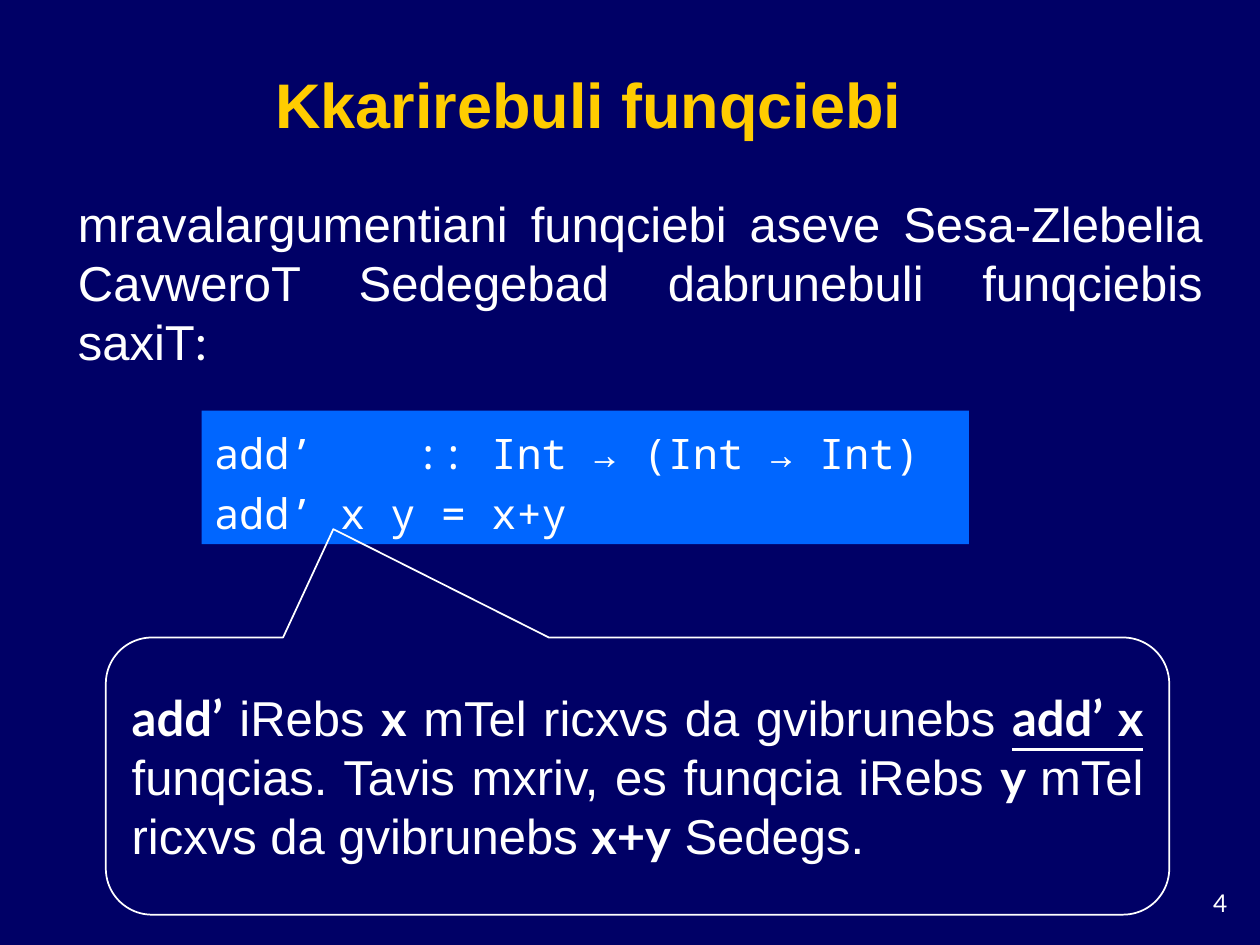
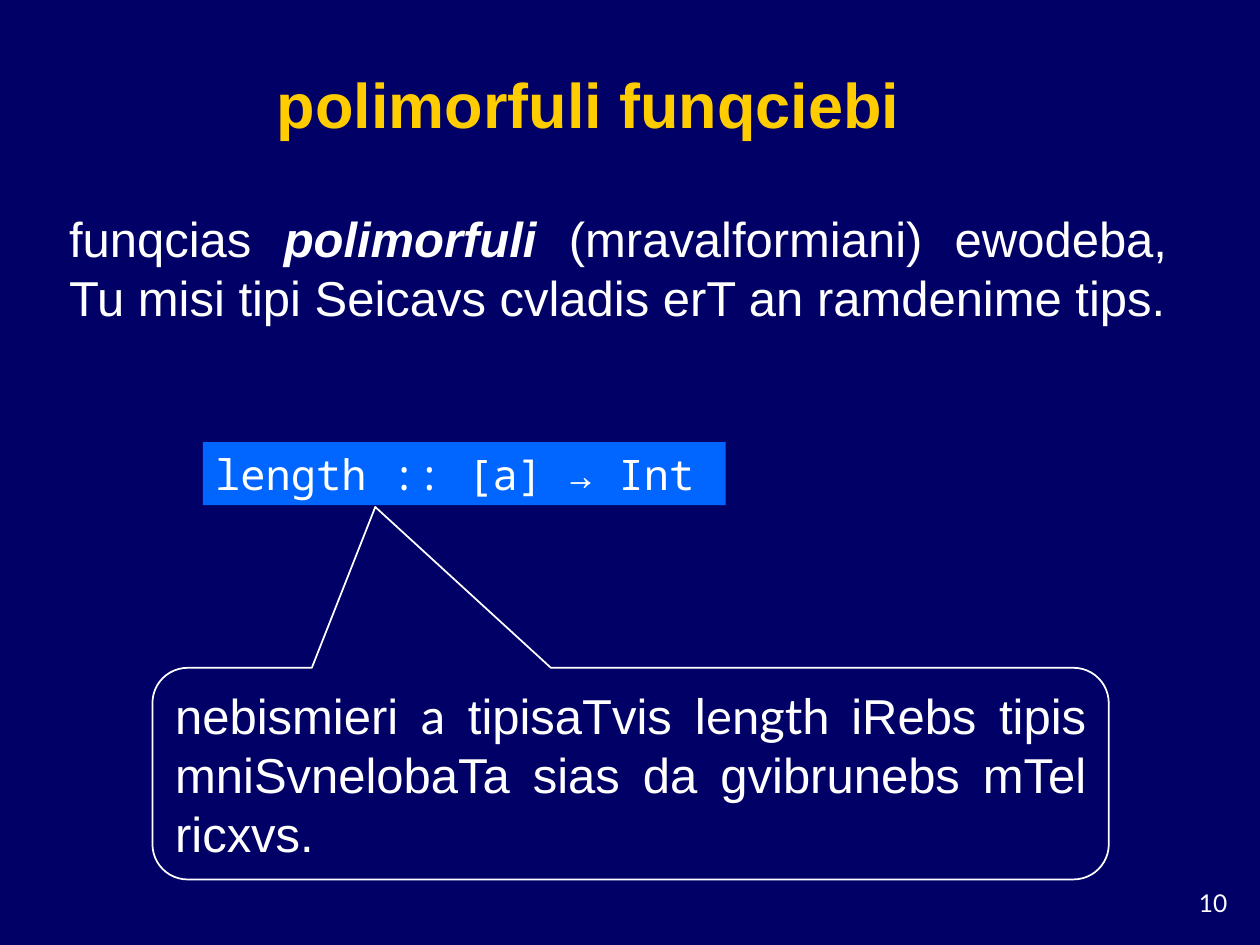
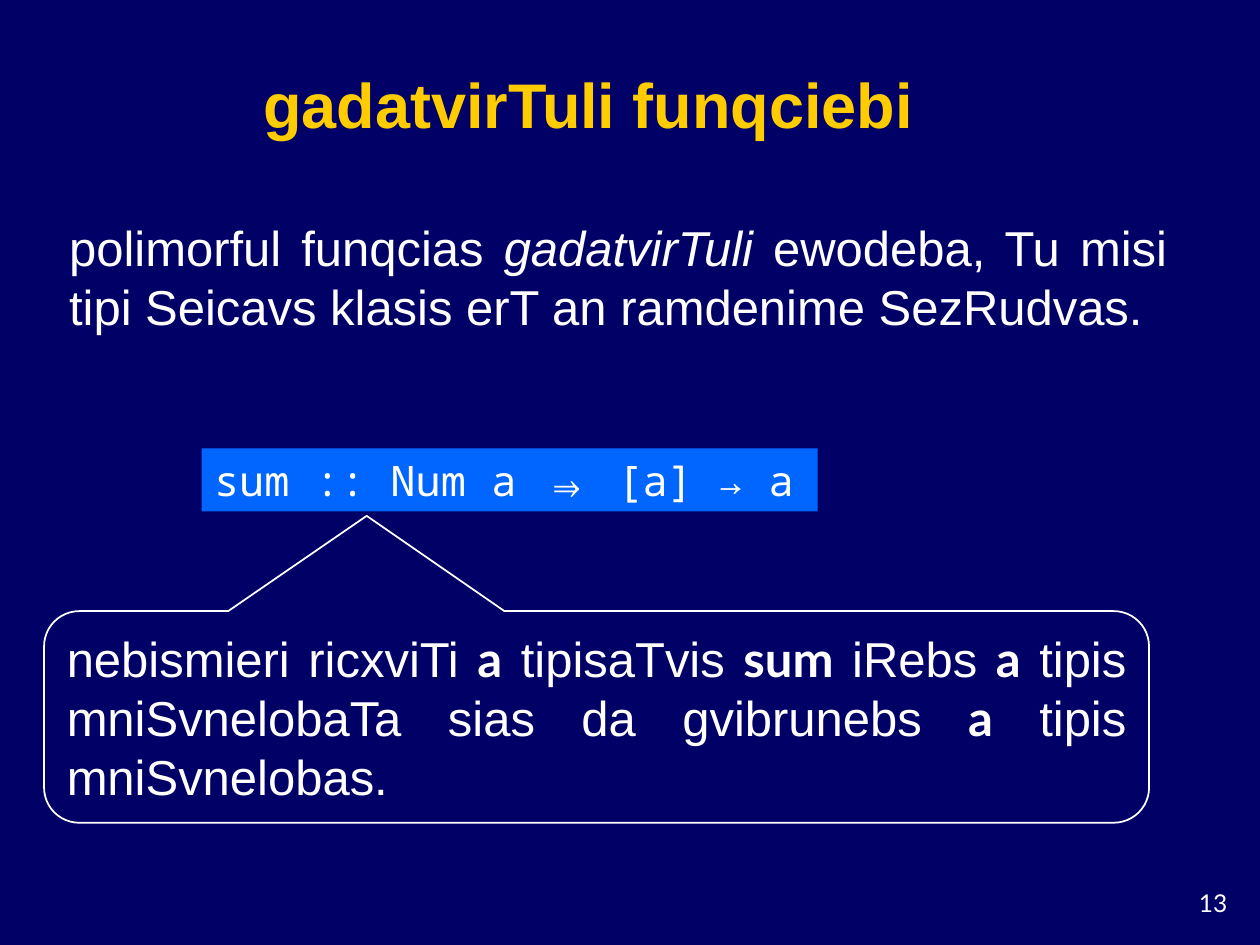
from pptx import Presentation
from pptx.dml.color import RGBColor
from pptx.enum.shapes import MSO_SHAPE
from pptx.enum.text import MSO_ANCHOR, MSO_AUTO_SIZE, PP_ALIGN
from pptx.util import Inches, Pt

NAVY, BLUE, WHITE, GOLD = "000066", "0066FF", "FFFFFF", "FFCC00"
SANS, TERM, CODE = "Arial", "Lato", "Noto Sans Mono"

SLIDES = [
    {
        "number": 4,
        "title": "Kkarirebuli funqciebi",
        "intro_box": (0.52, 1.48, 9.12, 1.51),
        "intro": [
            ("mravalargumentiani funqciebi aseve Sesa-Zlebelia CavweroT "
             "Sedegebad dabrunebuli funqciebis saxiT", SANS, ""),
            (":", TERM, ""),
        ],
        "code_box": (1.6, 3.26, 6.09, 1.06),
        "code": ["add’    :: Int → (Int → Int)", "add’ x y = x+y"],
        "code_spacing": 1.2,
        "callout_box": (0.84, 5.06, 8.44, 2.2),
        "pointer": (-0.286, -0.891),
        "callout": [
            ("add’", TERM, "b"),
            (" iRebs ", SANS, ""),
            ("x", TERM, "b"),
            (" mTel ricxvs da gvibrunebs ", SANS, ""),
            ("add’ x", TERM, "bu"),
            (" ", TERM, "b"),
            ("funqcias. Tavis mxriv, es funqcia iRebs ", SANS, ""),
            ("y ", TERM, "b"),
            ("mTel ricxvs da gvibrunebs ", SANS, ""),
            ("x+y", TERM, "b"),
            (" Sedegs.", SANS, ""),
        ],
    },
    {
        "number": 10,
        "title": "polimorfuli funqciebi",
        "intro_box": (0.45, 1.37, 8.91, 1.51),
        "intro": [
            ("funqcias ", SANS, ""),
            ("polimorfuli", SANS, "bi"),
            (" (mravalformiani) ewodeba, Tu misi tipi Seicavs cvladis erT "
             "an ramdenime tips.", SANS, ""),
        ],
        "code_box": (1.61, 3.51, 4.15, 0.5),
        "code": ["length :: [a] → Int"],
        "code_spacing": 1.0,
        "callout_box": (1.21, 5.3, 7.59, 1.68),
        "pointer": (-0.267, -1.26),
        "callout": [
            ("nebismieri ", SANS, ""),
            ("a", TERM, ""),
            (" tipisaTvis ", SANS, ""),
            ("length ", TERM, ""),
            ("iRebs tipis mniSvnelobaTa sias da gvibrunebs mTel ricxvs.", SANS, ""),
        ],
    },
    {
        "number": 13,
        "title": "gadatvirTuli funqciebi",
        "intro_box": (0.45, 1.44, 8.91, 1.51),
        "intro": [
            ("polimorful funqcias ", SANS, ""),
            ("gadatvirTuli", SANS, "i"),
            (" ewodeba, Tu misi tipi Seicavs klasis erT an ramdenime "
             "SezRudvas.", SANS, ""),
        ],
        "code_box": (1.6, 3.56, 4.89, 0.5),
        "code": ["sum :: Num a ⇒ [a] → a"],
        "code_spacing": 1.0,
        "callout_box": (0.35, 4.85, 8.77, 1.68),
        "pointer": (-0.208, -0.95),
        "callout": [
            ("nebismieri ricxviTi ", SANS, ""),
            ("a", TERM, "b"),
            (" tipisaTvis ", SANS, ""),
            ("sum", TERM, "b"),
            (" iRebs ", SANS, ""),
            ("a", TERM, "b"),
            (" tipis mniSvnelobaTa sias da gvibrunebs ", SANS, ""),
            ("a", TERM, "b"),
            (" tipis mniSvnelobas.", SANS, ""),
        ],
    },
]


def color(value):
    return RGBColor.from_string(value)


def write(shape, paragraphs, size, alignment, anchor=MSO_ANCHOR.MIDDLE,
          text_color=WHITE, spacing=None):
    frame = shape.text_frame
    frame.word_wrap = True
    frame.auto_size = MSO_AUTO_SIZE.NONE
    frame.vertical_anchor = anchor
    for index, runs in enumerate(paragraphs):
        paragraph = frame.add_paragraph() if index else frame.paragraphs[0]
        paragraph.alignment = alignment
        paragraph.line_spacing = spacing
        for text, font_name, style in runs:
            run = paragraph.add_run()
            run.text = text
            run.font.name = font_name
            run.font.size = Pt(size)
            run.font.color.rgb = color(text_color)
            run.font.bold = "b" in style
            run.font.italic = "i" in style
            run.font.underline = "u" in style


presentation = Presentation()
presentation.slide_width, presentation.slide_height = Inches(10), Inches(7.5)
background = presentation.slide_master.background.fill
background.solid()
background.fore_color.rgb = color(NAVY)

layout = presentation.slide_layouts.get_by_name("Title Only")
layout_title = layout.placeholders[0]
layout_title.left, layout_title.top = Inches(0.42), Inches(0.42)
layout_title.width, layout_title.height = Inches(8.5), Inches(0.75)

for content in SLIDES:
    slide = presentation.slides.add_slide(layout)
    write(slide.shapes.title, [[(content["title"], SANS, "b")]], 36,
          PP_ALIGN.CENTER, MSO_ANCHOR.BOTTOM, GOLD)

    number = slide.shapes.add_textbox(*map(Inches, (9.17, 7, 0.67, 0.33)))
    write(number, [[(str(content["number"]), TERM, "")]], 14,
          PP_ALIGN.RIGHT, MSO_ANCHOR.TOP)

    intro = slide.shapes.add_textbox(*map(Inches, content["intro_box"]))
    write(intro, [content["intro"]], 28, PP_ALIGN.JUSTIFY)

    code = slide.shapes.add_shape(MSO_SHAPE.RECTANGLE, *map(Inches, content["code_box"]))
    code.shadow.inherit = False
    code.fill.solid()
    code.fill.fore_color.rgb = color(BLUE)
    code.line.fill.background()
    write(code, [[(line, CODE, "")] for line in content["code"]], 24,
          PP_ALIGN.LEFT, spacing=content["code_spacing"])

    callout = slide.shapes.add_shape(
        MSO_SHAPE.ROUNDED_RECTANGULAR_CALLOUT, *map(Inches, content["callout_box"]))
    callout.shadow.inherit = False
    callout.fill.background()
    callout.line.color.rgb = color(WHITE)
    callout.line.width = Pt(1)
    callout.adjustments[0], callout.adjustments[1] = content["pointer"]
    write(callout, [content["callout"]], 28, PP_ALIGN.JUSTIFY)

presentation.save("out.pptx")
